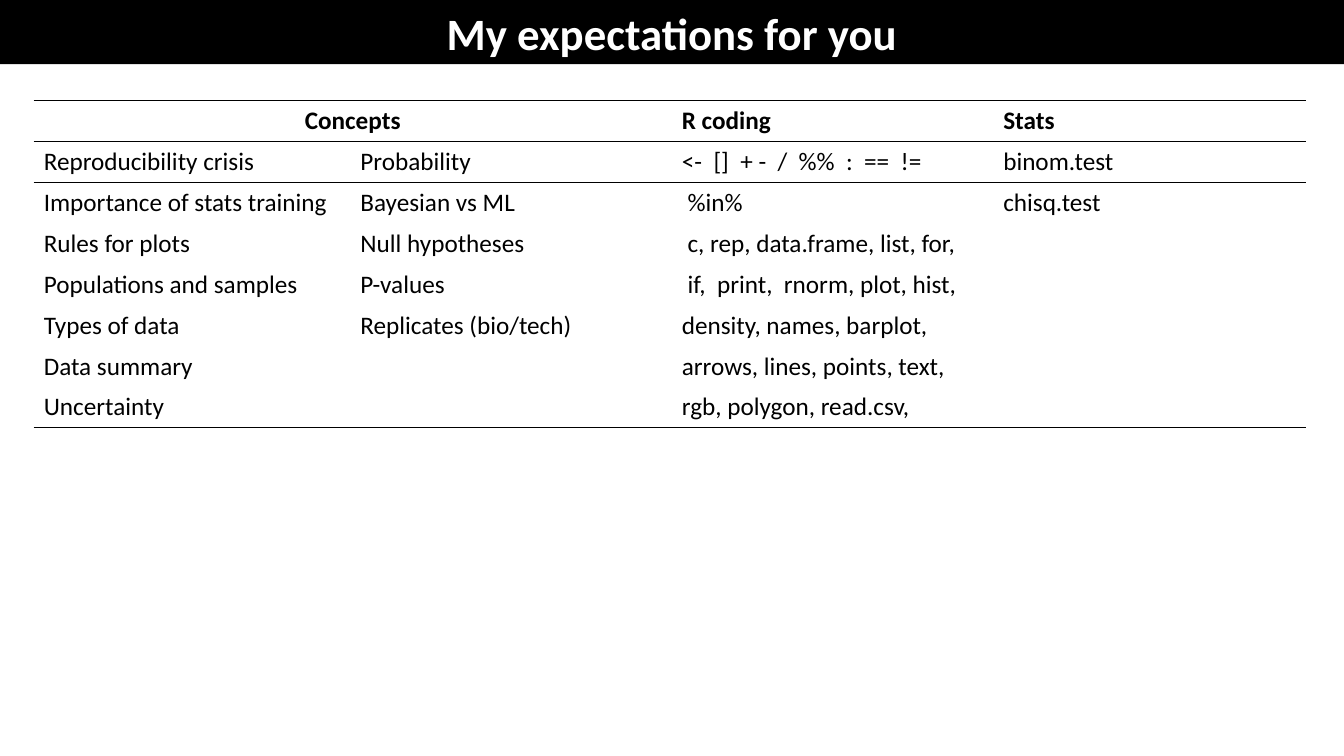
from lxml import etree
from pptx import Presentation
from pptx.dml.color import RGBColor
from pptx.enum.shapes import MSO_SHAPE
from pptx.enum.text import MSO_ANCHOR, PP_ALIGN
from pptx.oxml.ns import qn
from pptx.util import Cm, Pt

RECT = MSO_SHAPE.RECTANGLE
CENTER, LEFT = PP_ALIGN.CENTER, PP_ALIGN.LEFT
MIDDLE = MSO_ANCHOR.MIDDLE

# Content
TITLE = "My expectations for you"
HEADER = ("Concepts", "", "R coding", "Stats")
ROWS = [
    ("Reproducibility crisis", "Probability", "<-  []  + -  /  %%  :  ==  !=", "binom.test"),
    ("Importance of stats training", "Bayesian vs ML", " %in%", "chisq.test"),
    ("Rules for plots", "Null hypotheses", " c, rep, data.frame, list, for,", ""),
    ("Populations and samples", "P-values", " if,  print,  rnorm, plot, hist,", ""),
    ("Types of data", "Replicates (bio/tech)", "density, names, barplot,", ""),
    ("Data summary", "", "arrows, lines, points, text,", ""),
    ("Uncertainty", "", "rgb, polygon, read.csv,", ""),
]

# Layout and look
SLIDE_W, SLIDE_H = 33.87, 19.05
BANNER_H = 1.62
TABLE_X, TABLE_Y = 0.85, 2.54
COL_WIDTHS = (7.98, 8.1, 8.1, 7.87)
ROW_H = 1.03
FONT, BLACK, WHITE = "Calibri", "000000", "FFFFFF"
PLAIN_TABLE = "{2D5ABB26-0587-4C30-8999-92F81FD0307C}"


def color(hex_code):
    return RGBColor.from_string(hex_code)


def write(tf, text, size, hex_code, bold=False, align=LEFT):
    p = tf.paragraphs[0]
    p.alignment = align
    r = p.add_run()
    r.text = text
    r.font.name, r.font.size, r.font.bold = FONT, Pt(size), bold
    r.font.color.rgb = color(hex_code)


def add_border(cell, side):
    ln = etree.SubElement(cell._tc.get_or_add_tcPr(), qn("a:" + side), w=str(Pt(1)))
    fill = etree.SubElement(ln, qn("a:solidFill"))
    etree.SubElement(fill, qn("a:srgbClr"), val=BLACK)


prs = Presentation()
prs.slide_width, prs.slide_height = Cm(SLIDE_W), Cm(SLIDE_H)
s = prs.slides.add_slide(prs.slide_layouts[6])

# Title banner
banner = s.shapes.add_shape(RECT, 0, 0, Cm(SLIDE_W), Cm(BANNER_H))
banner.shadow.inherit = False
banner.fill.solid()
banner.fill.fore_color.rgb = color(BLACK)
banner.line.fill.background()
tf = banner.text_frame
tf.word_wrap = True
tf.vertical_anchor = MIDDLE
write(tf, TITLE, 32, WHITE, True, CENTER)

# Table with rules above and below the header and under the last row
grid = [HEADER] + ROWS
last = len(grid) - 1
frame = s.shapes.add_table(len(grid), len(HEADER), Cm(TABLE_X), Cm(TABLE_Y),
                           Cm(sum(COL_WIDTHS)), Cm(ROW_H * len(grid)))
table = frame.table
table.first_row = table.horz_banding = False
table._tbl.tblPr.find(qn("a:tableStyleId")).text = PLAIN_TABLE
for col, width in zip(table.columns, COL_WIDTHS):
    col.width = Cm(width)
for row in table.rows:
    row.height = Cm(ROW_H)
table.cell(0, 0).merge(table.cell(0, 1))

for i, texts in enumerate(grid):
    for j, text in enumerate(texts):
        cell = table.cell(i, j)
        if i <= 1:
            add_border(cell, "lnT")
        if i in (0, last):
            add_border(cell, "lnB")
        cell.fill.background()
        if text:
            write(cell.text_frame, text, 18, BLACK, i == 0,
                  CENTER if cell.is_merge_origin else LEFT)

prs.save("out.pptx")
